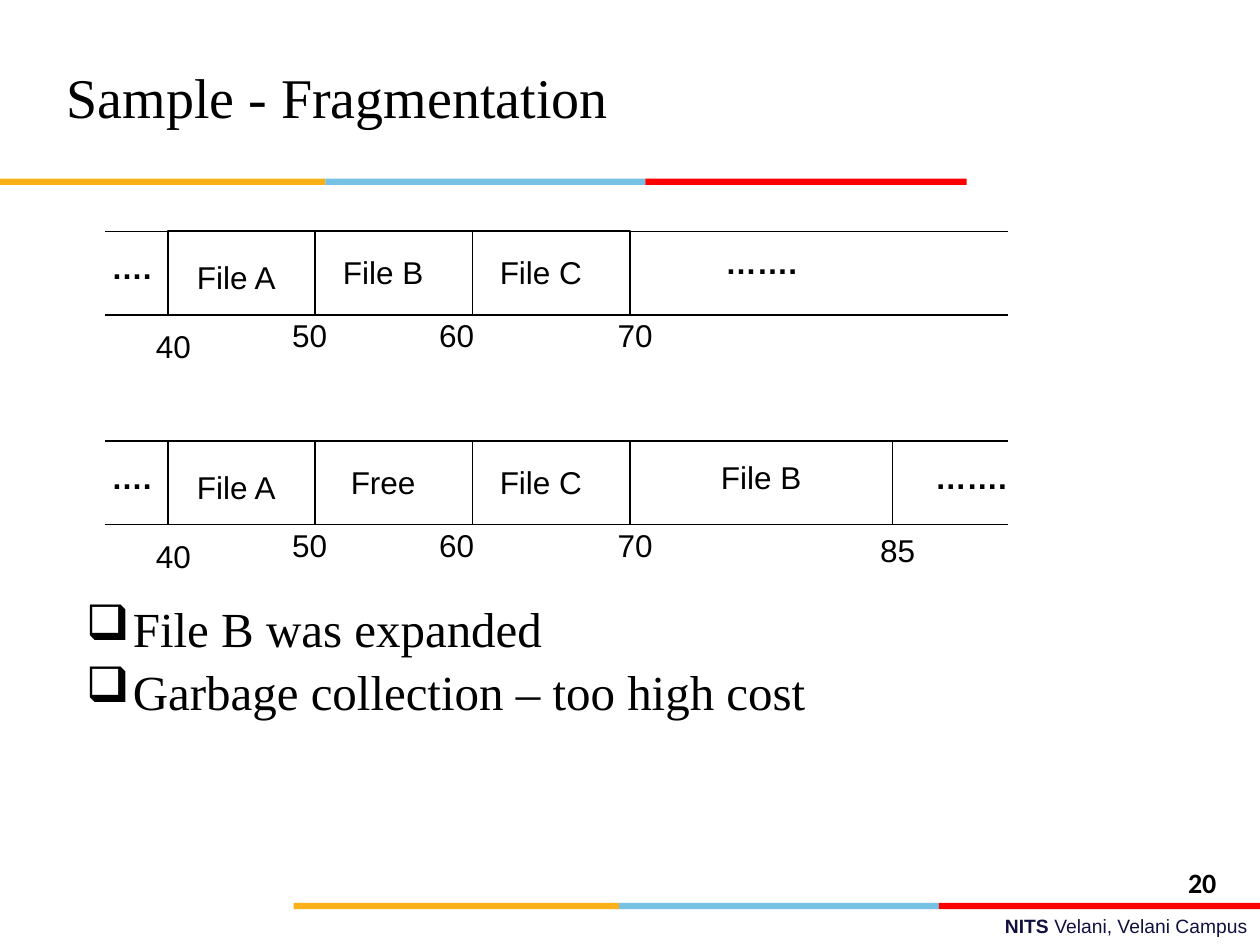
import pptx
import pptx.util
import pptx.dml.color
import pptx.enum.shapes
import pptx.enum.text
import pptx.oxml
import pptx.oxml.ns

Cm = pptx.util.Cm
Pt = pptx.util.Pt
ALIGN = pptx.enum.text.PP_ALIGN
ANCHOR = pptx.enum.text.MSO_ANCHOR

COLORS = {
    "black": "000000",
    "navy": "101141",
    "orange": "FCB017",
    "blue": "76C2E5",
    "red": "FF0000",
}

STRIP_LEFT, STRIP_RIGHT = 2.12, 20.32
FILES_LEFT, FILES_RIGHT = 3.39, 12.7
STRIP_HEIGHT = 1.69
FILE_DIVIDERS = [6.35, 9.53]
LABEL_WIDTH, LABEL_HEIGHT = 2.33, 0.94


def color(name):
    return pptx.dml.color.RGBColor.from_string(COLORS[name])


def add_text(slide, text, left, top, width, height, size=18, font="Arial",
             fill="black", bold=False, align=ALIGN.LEFT, anchor=ANCHOR.TOP,
             bold_lead="", bullet=None):
    shape = slide.shapes.add_textbox(Cm(left), Cm(top), Cm(width), Cm(height))
    frame = shape.text_frame
    frame.word_wrap = True
    frame.vertical_anchor = anchor
    for index, line in enumerate(text.split("\n")):
        paragraph = frame.paragraphs[0] if index == 0 else frame.add_paragraph()
        paragraph.alignment = align
        for content, is_bold in ((bold_lead, True), (line, bold)):
            if content:
                run = paragraph.add_run()
                run.text = content
                run.font.size = Pt(size)
                run.font.name = font
                run.font.bold = is_bold
                run.font.color.rgb = color(fill)
        if bullet:
            add_bullet(paragraph, bullet, size)
    return shape


def add_bullet(paragraph, bullet, size):
    paragraph.line_spacing = 0.9
    paragraph.space_before = Pt(size * 0.2)
    properties = paragraph._p.get_or_add_pPr()
    properties.set("marL", str(Cm(0.95)))
    properties.set("indent", str(-Cm(0.95)))
    character = pptx.oxml.parse_xml(
        f'<a:buChar {pptx.oxml.ns.nsdecls("a")} char="{bullet}"/>')
    properties.append(character)


def add_rectangle(slide, left, top, width, height, fill=None, line=None):
    shape = slide.shapes.add_shape(
        pptx.enum.shapes.MSO_SHAPE.RECTANGLE,
        Cm(left), Cm(top), Cm(width), Cm(height))
    shape.shadow.inherit = False
    if fill:
        shape.fill.solid()
        shape.fill.fore_color.rgb = color(fill)
    else:
        shape.fill.background()
    if line:
        shape.line.color.rgb = color(line)
        shape.line.width = Pt(0.75)
    else:
        shape.line.fill.background()


def add_line(slide, x1, y1, x2, y2):
    connector = slide.shapes.add_connector(
        pptx.enum.shapes.MSO_CONNECTOR.STRAIGHT, Cm(x1), Cm(y1), Cm(x2), Cm(y2))
    connector.line.color.rgb = color("black")
    connector.line.width = Pt(0.75)
    effects = pptx.oxml.parse_xml(f'<a:effectLst {pptx.oxml.ns.nsdecls("a")}/>')
    connector._element.spPr.append(effects)


def add_color_band(slide, left, top):
    for name, width in (("orange", 6.56), ("blue", 6.45), ("red", 6.48)):
        add_rectangle(slide, left, top, width, 0.13, fill=name)
        left += width


def add_label(slide, text, left, top, width=LABEL_WIDTH, bold=False):
    add_text(slide, text, left, top, width, LABEL_HEIGHT,
             bold=bold, align=ALIGN.CENTER)


def add_disk_strip(slide, top, second_block, dividers, labels, dots):
    bottom = top + STRIP_HEIGHT
    add_rectangle(slide, FILES_LEFT, top, FILES_RIGHT - FILES_LEFT,
                  STRIP_HEIGHT, line="black")
    for y in (top, bottom):
        add_line(slide, STRIP_LEFT, y, FILES_LEFT, y)
        add_line(slide, FILES_RIGHT, y, STRIP_RIGHT, y)
    for x in dividers:
        add_line(slide, x, top, x, bottom)
    common_labels = [
        ("File A", 3.6, 0.42), (second_block, 6.56, 0.32), ("File C", 9.74, 0.32),
        ("40", 2.33, 1.81), ("50", 5.08, 1.59), ("60", 8.04, 1.59),
        ("70", 11.64, 1.59),
    ]
    for text, left, offset in common_labels + labels:
        add_label(slide, text, left, top + offset)
    add_label(slide, "….", 1.91, top + 0.21, width=1.48, bold=True)
    dots_left, dots_offset = dots
    add_label(slide, "…….", dots_left, top + dots_offset, bold=True)


def main():
    presentation = pptx.Presentation()
    presentation.slide_width = Cm(25.4)
    presentation.slide_height = Cm(19.05)
    slide = presentation.slides.add_slide(presentation.slide_layouts[6])

    add_text(slide, "Velani, Velani Campus", 9.09, 18.31, 16.31, 0.74, size=11,
             fill="navy", align=ALIGN.RIGHT, bold_lead="NITS ")
    add_color_band(slide, 5.92, 18.2)
    add_color_band(slide, 0, 3.6)
    add_text(slide, "Sample - Fragmentation", 1.09, 0.76, 17, 2.36, size=32,
             font="Times New Roman", anchor=ANCHOR.MIDDLE)
    add_text(slide, "20", 23.7, 17.32, 1.7, 0.81, size=16, font="Calibri", bold=True)
    add_text(slide, "File B was expanded\nGarbage collection – too high cost",
             1.48, 12.07, 21.59, 2.74, size=28, font="Times New Roman", bullet="❑")

    add_disk_strip(slide, 4.66, "File B", FILE_DIVIDERS, [], (14.18, 0.11))
    add_disk_strip(slide, 8.89, "Free", FILE_DIVIDERS + [17.99],
                   [("File B", 14.18, 0.21), ("85", 16.93, 1.69)], (18.41, 0.21))

    presentation.save("out.pptx")


if __name__ == "__main__":
    main()
